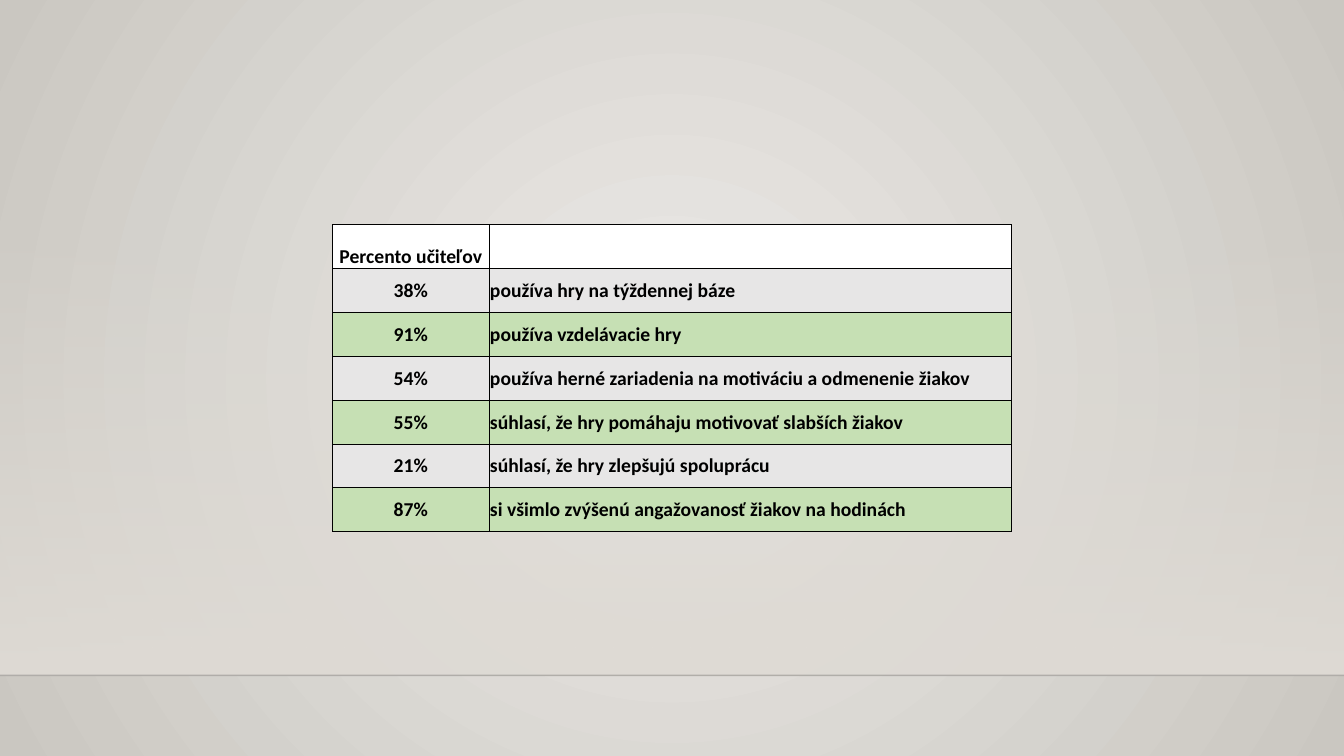
from pptx import Presentation
from pptx.dml.color import RGBColor
from pptx.enum.shapes import MSO_CONNECTOR, MSO_SHAPE
from pptx.enum.text import MSO_ANCHOR, PP_ALIGN
from pptx.oxml import parse_xml
from pptx.oxml.ns import nsdecls, qn
from pptx.util import Inches, Pt

COLORS = {
    "center": "ECEAE7",
    "edge": "CAC7C1",
    "wall": "DFDBD5",
    "horizon": "000001",
    "ink": "000000",
    "header": "FFFFFF",
    "grey": "E7E6E6",
    "green": "C6E0B4",
}
WIDTH, HEIGHT = 13.33, 7.5
HORIZON = 6.7
CIRCLE = '<a:path path="circle"><a:fillToRect l="50000" t="50000" r="50000" b="50000"/></a:path>'
DOWNWARD = '<a:lin ang="5400000" scaled="0"/>'
ROWS = [
    ("Percento učiteľov", ""),
    ("38%", "používa hry na týždennej báze"),
    ("91%", "používa vzdelávacie hry"),
    ("54%", "používa herné zariadenia na motiváciu a odmenenie žiakov"),
    ("55%", "súhlasí, že hry pomáhaju motivovať slabších žiakov"),
    ("21%", "súhlasí, že hry zlepšujú spoluprácu"),
    ("87%", "si všimlo zvýšenú angažovanosť žiakov na hodinách"),
]


def write_text(frame, text, *, font, size, color, bold=False, align=PP_ALIGN.LEFT):
    paragraph = frame.paragraphs[0]
    paragraph.alignment = align
    paragraph.font.size = Pt(size)
    if text:
        run = paragraph.add_run()
        run.text = text
        run.font.name = font
        run.font.size = Pt(size)
        run.font.bold = bold
        run.font.color.rgb = RGBColor.from_string(color)


class SlideBuilder:
    font = "Calibri"
    size = 14

    def __init__(self, slide):
        self.slide = slide

    def gradient(self, fill, owner, stops, direction):
        fill.gradient()
        marks = "".join(
            f'<a:gs pos="{position * 1000}"><a:srgbClr val="{COLORS[color]}">'
            f'<a:alpha val="{opacity * 1000}"/></a:srgbClr></a:gs>'
            for position, color, opacity in stops
        )
        default = owner.find(".//" + qn("a:gradFill"))
        default.getparent().replace(default, parse_xml(
            f'<a:gradFill {nsdecls("a")} rotWithShape="1">'
            f"<a:gsLst>{marks}</a:gsLst>{direction}</a:gradFill>"
        ))

    def background(self, stops):
        self.gradient(self.slide.background.fill, self.slide.element, stops, CIRCLE)

    def panel(self, left, top, width, height, stops):
        wall = self.slide.shapes.add_shape(
            MSO_SHAPE.RECTANGLE, Inches(left), Inches(top), Inches(width), Inches(height)
        )
        wall.shadow.inherit = False
        wall.line.fill.background()
        self.gradient(wall.fill, wall.element, stops, DOWNWARD)

    def rule(self, start, end, color, width, opacity):
        horizon = self.slide.shapes.add_connector(
            MSO_CONNECTOR.STRAIGHT, *(Inches(value) for value in (*start, *end))
        )
        horizon.line.width = Pt(width)
        horizon.line.color.rgb = RGBColor.from_string(COLORS[color])
        properties = horizon.element.spPr
        tint = properties.find(".//" + qn("a:srgbClr"))
        tint.append(parse_xml(f'<a:alpha {nsdecls("a")} val="{opacity * 1000}"/>'))
        properties.append(parse_xml(f'<a:effectLst {nsdecls("a")}/>'))

    def cell_borders(self, cell, color, width):
        properties = cell._tc.get_or_add_tcPr()
        for index, side in enumerate(("lnL", "lnR", "lnT", "lnB")):
            properties.insert(index, parse_xml(
                f'<a:{side} {nsdecls("a")} w="{Pt(width)}"><a:solidFill>'
                f'<a:srgbClr val="{COLORS[color]}"/></a:solidFill></a:{side}>'
            ))

    def table(self, left, top, column_widths, row_height, rows):
        survey = self.slide.shapes.add_table(
            len(rows), len(column_widths), Inches(left), Inches(top),
            Inches(sum(column_widths)), Inches(row_height * len(rows)),
        ).table
        for column, width in zip(survey.columns, column_widths):
            column.width = Inches(width)
        for index, answers in enumerate(rows):
            survey.rows[index].height = Inches(row_height)
            band = ("grey" if index % 2 else "green") if index else "header"
            for position, text in enumerate(answers):
                cell = survey.cell(index, position)
                cell.fill.solid()
                cell.fill.fore_color.rgb = RGBColor.from_string(COLORS[band])
                cell.margin_left = cell.margin_right = cell.margin_top = Inches(0.01)
                cell.margin_bottom = 0
                cell.vertical_anchor = MSO_ANCHOR.MIDDLE if index else MSO_ANCHOR.BOTTOM
                write_text(
                    cell.text_frame, text, font=self.font, size=self.size,
                    color=COLORS["ink"], bold=True,
                    align=PP_ALIGN.LEFT if position else PP_ALIGN.CENTER,
                )
                self.cell_borders(cell, "ink", 0.5)


presentation = Presentation()
presentation.slide_width = Inches(WIDTH)
presentation.slide_height = Inches(HEIGHT)
builder = SlideBuilder(presentation.slides.add_slide(presentation.slide_layouts[6]))
builder.background([(0, "center", 100), (100, "edge", 100)])
builder.panel(0, 2.21, WIDTH, HORIZON - 2.21, [(0, "wall", 0), (100, "wall", 100)])
builder.rule((0, HORIZON), (WIDTH, HORIZON), "horizon", 1, 20)
builder.table(3.3, 2.23, (1.55, 5.18), 0.435, ROWS)
presentation.save("out.pptx")
